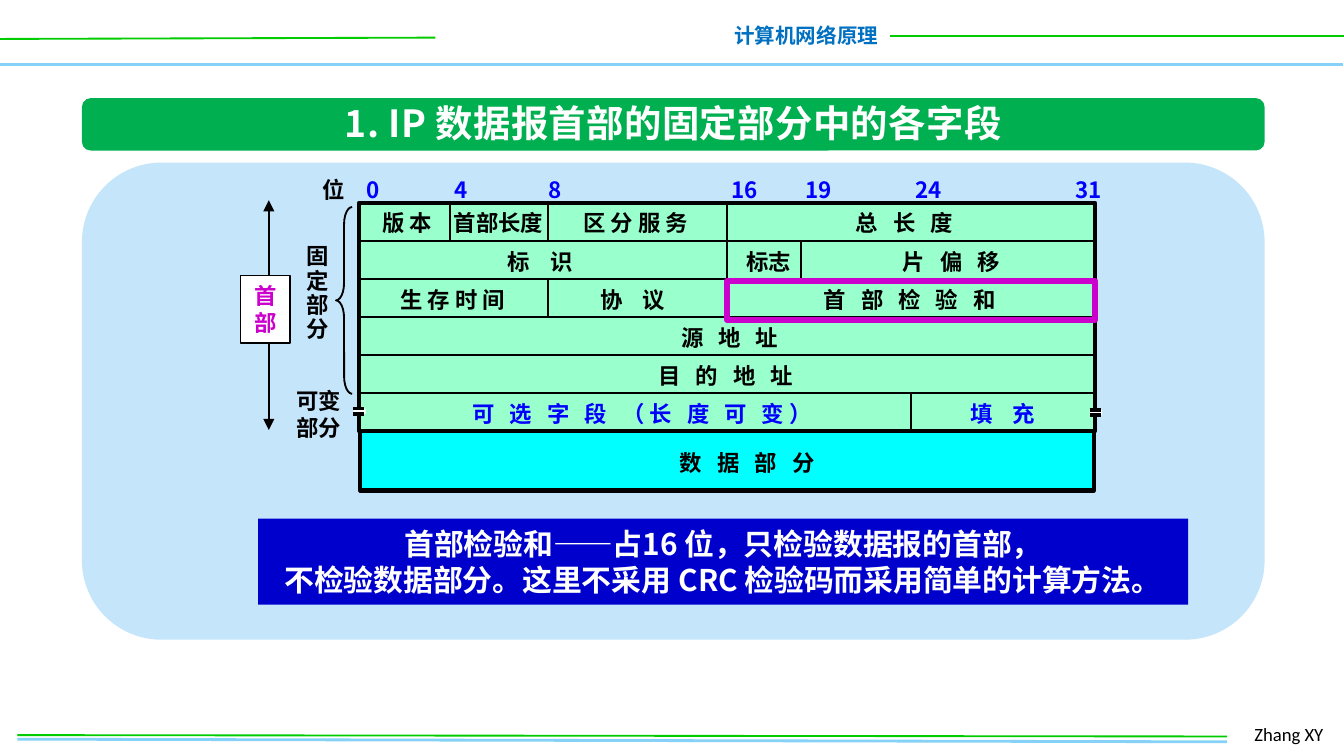
from lxml.etree import SubElement
from pptx import Presentation
from pptx.dml.color import RGBColor
from pptx.enum.shapes import MSO_CONNECTOR as Connector, MSO_SHAPE as Shape
from pptx.enum.text import MSO_ANCHOR as Anchor, PP_ALIGN as Align
from pptx.oxml.ns import qn
from pptx.util import Inches, Pt

FONT = "Noto Sans CJK SC"
BLACK, WHITE, BLUE, PURPLE = "000000", "FFFFFF", "0000FF", "CC00CC"
GREEN, SKY = "00CC00", "85D1F7"

presentation = Presentation()
presentation.slide_width = Inches(10)
presentation.slide_height = Inches(10 * 9 / 16)
slide = presentation.slides.add_slide(presentation.slide_layouts[6])
color = RGBColor.from_string


def draw(kind, x, y, width, height, fill=None, line=None, weight=1, text=None,
         size=12, ink=BLACK, bold=True, font=FONT, gap=0, leading=None):
    """Add a shape, or a text box when kind is None; gap is letter spacing."""
    box = [Inches(value) for value in (x, y, width, height)]
    if kind is None:
        shape = slide.shapes.add_textbox(*box)
    else:
        shape = slide.shapes.add_shape(kind, *box)
        shape.shadow.inherit = False
        if fill:
            shape.fill.solid()
            shape.fill.fore_color.rgb = color(fill)
        else:
            shape.fill.background()
        if line:
            shape.line.color.rgb = color(line)
            shape.line.width = Pt(weight)
        else:
            shape.line.fill.background()
    if text:
        frame = shape.text_frame
        frame.word_wrap = False
        frame.vertical_anchor = Anchor.MIDDLE
        frame.text = text
        for paragraph in frame.paragraphs:
            paragraph.alignment = Align.CENTER
            if leading:
                paragraph.line_spacing = Pt(leading)
            style = paragraph.font
            style.size, style.bold, style.name = Pt(size), bold, font
            style.color.rgb = color(ink)
            properties = paragraph._p.pPr.find(qn("a:defRPr"))
            SubElement(properties, qn("a:ea")).set("typeface", font)
            if gap:
                properties.set("spc", str(int(gap * 100)))
    return shape


def connect(x1, y1, x2, y2, ink=BLACK, weight=1, arrows=False):
    line = slide.shapes.add_connector(
        Connector.STRAIGHT, *[Inches(value) for value in (x1, y1, x2, y2)])
    line.line.color.rgb = color(ink)
    line.line.width = Pt(weight)
    properties = line._element.spPr
    if arrows:
        outline = properties.find(qn("a:ln"))
        for end in ("a:headEnd", "a:tailEnd"):
            SubElement(outline, qn(end)).set("type", "triangle")
    SubElement(properties, qn("a:effectLst"))


# Page header and footer
for rule in [(-0.01, 0.48, 9.99, 0.48, SKY, 2), (0, 0.29, 3.24, 0.28, GREEN),
             (6.62, 0.27, 10.01, 0.27, GREEN), (0.13, 5.5, 9.13, 5.52, SKY, 1.5),
             (0.13, 5.47, 9.13, 5.48, GREEN)]:
    connect(*rule)
draw(None, 5.36, 0.12, 1.28, 0.29, text="计算机网络原理", size=11, ink="0070C0")
draw(None, 9.22, 5.33, 0.74, 0.27, text="Zhang XY", size=10, bold=False, font="Calibri")

# Title bar and panel
draw(Shape.ROUNDED_RECTANGLE, 0.61, 0.73, 8.8, 0.39, "00B050")
draw(None, 2.37, 0.69, 5.28, 0.44, text="1. IP 数据报首部的固定部分中的各字段",
     size=20, ink=WHITE, gap=0.2)
draw(Shape.ROUNDED_RECTANGLE, 0.61, 1.21, 8.8, 3.55, "C5E5FB")

# Header grid: six rows, with column edges named by bit number
LEFT, RIGHT, TOP, BOTTOM = 2.67, 8.15, 1.51, 3.21
ROW = (BOTTOM - TOP) / 6
EDGE = {4: 3.35, 8: 4.08, 16: 5.41, 19: 5.96, 24: 6.78}
draw(Shape.RECTANGLE, LEFT, TOP, RIGHT - LEFT, BOTTOM - TOP, "99FFCC", BLACK, 2)
draw(Shape.RECTANGLE, 2.68, BOTTOM, 5.46, 0.44, "00FFFF", BLACK, 2.25)
for row in range(1, 6):
    connect(LEFT, TOP + row * ROW, RIGHT, TOP + row * ROW)
for bit, first, last in [(4, 0, 1), (8, 0, 1), (8, 2, 3), (16, 0, 3), (19, 1, 2), (24, 5, 6)]:
    connect(EDGE[bit], TOP + first * ROW, EDGE[bit], TOP + last * ROW)

# Field names: row, centre, box width, text, letter spacing, colour
for row, centre, width, name, gap, ink in [
        (0, 3.03, 0.59, "版 本", 0, BLACK), (0, 3.71, 0.87, "首部长度", 0, BLACK),
        (0, 4.73, 1.03, "区 分 服 务", 0, BLACK), (0, 6.73, 1.01, "总 长 度", 2.7, BLACK),
        (1, 4.02, 0.74, "标 识", 4, BLACK), (1, 5.72, 0.54, "标志", 0, BLACK),
        (1, 7.08, 1.01, "片 偏 移", 2.7, BLACK), (2, 3.37, 1.03, "生 存 时 间", 0, BLACK),
        (2, 4.71, 0.74, "协 议", 4, BLACK), (2, 6.77, 1.65, "首 部 检 验 和", 2.7, BLACK),
        (3, 5.43, 1.01, "源 地 址", 2.7, BLACK), (4, 5.4, 1.33, "目 的 地 址", 2.7, BLACK),
        (5, 4.78, 2.9, "可 选 字 段 （长 度 可 变）", 2.7, BLUE),
        (5, 7.46, 0.74, "填 充", 4, BLUE), (6.28, 5.56, 2.03, "数 据 部 分", 2.7, BLACK)]:
    draw(None, centre - width / 2, TOP + row * ROW, width, 0.3, text=name, gap=gap, ink=ink)

# Bit numbers
draw(None, 2.3, 1.26, 0.37, 0.3, text="位")
for centre, bit in [(2.78, 0), (3.43, 4), (4.13, 8), (5.54, 16),
                    (6.09, 19), (6.91, 24), (8.1, 31)]:
    draw(None, centre - 0.2, 1.26, 0.4, 0.3, text=str(bit), ink=BLUE)

# Break marks on both sides of the variable row
for x, y in [(2.63, 3.04), (8.11, 3.05)]:
    draw(Shape.RECTANGLE, x, y, 0.09, 0.04, WHITE)
    for edge in (y, y + 0.04):
        connect(x, edge, x + 0.08, edge, weight=2)

# Brace, extent arrow and side labels
brace = draw(Shape.LEFT_BRACE, 2.5, 1.54, 0.12, 1.39, line=BLACK)
brace.adjustments[0] = 1.08
connect(2, 1.49, 2, 3.2, arrows=True)
draw(Shape.RECTANGLE, 1.79, 2.05, 0.37, 0.5, WHITE, BLACK, text="首\n部",
     ink=PURPLE, leading=14.4)
draw(None, 2.18, 1.77, 0.37, 0.83, text="固\n定\n部\n分", leading=13)
draw(None, 2.1, 2.83, 0.54, 0.5, text="可变\n部分", leading=14.4)

# Explanation and highlighted checksum field
draw(Shape.RECTANGLE, 1.92, 3.86, 6.92, 0.64, "0000CC", size=16, ink=WHITE, leading=19,
     text="首部检验和——占16 位，只检验数据报的首部，\n"
          "不检验数据部分。这里不采用 CRC 检验码而采用简单的计算方法。")
draw(Shape.RECTANGLE, EDGE[16], 2.09, RIGHT - EDGE[16], 0.29, line=PURPLE, weight=3)

presentation.save("out.pptx")
